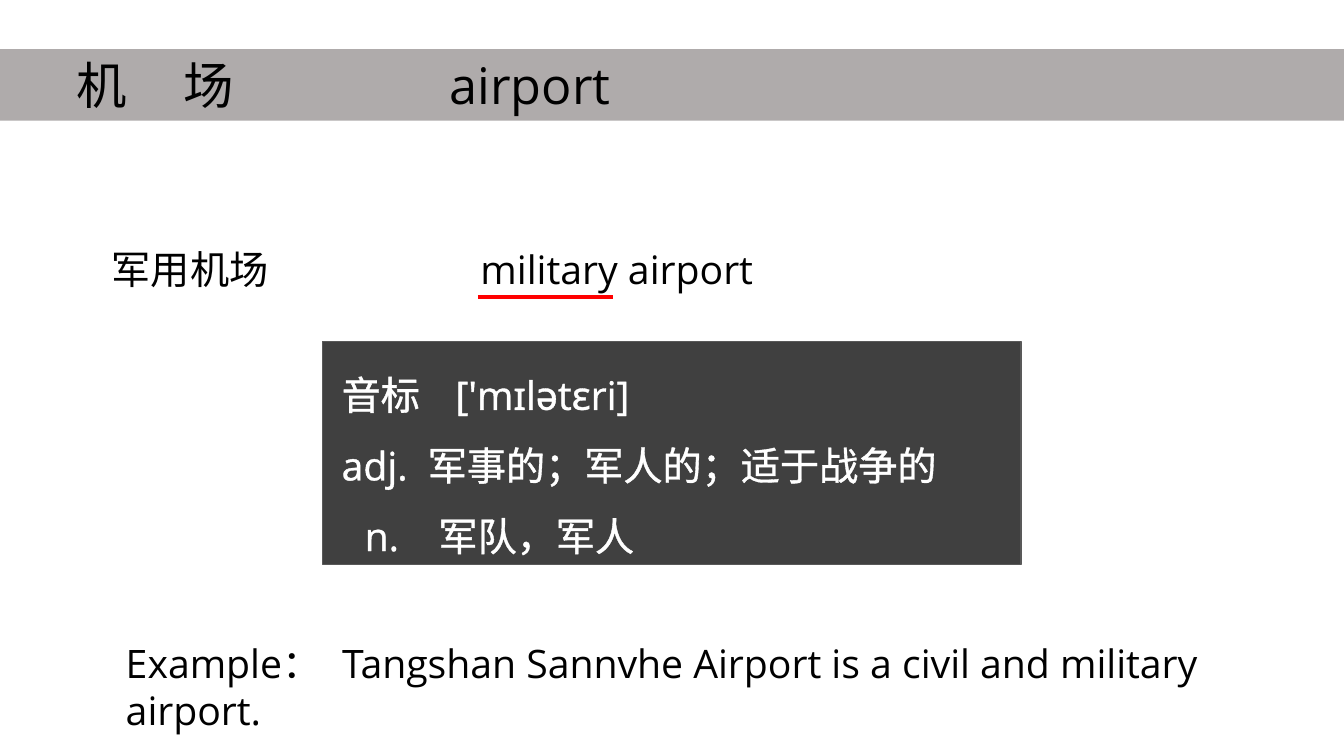
from lxml.etree import SubElement
from pptx import Presentation
from pptx.dml.color import RGBColor
from pptx.enum.shapes import MSO_CONNECTOR, MSO_SHAPE
from pptx.enum.text import MSO_ANCHOR, PP_ALIGN
from pptx.oxml import parse_xml
from pptx.oxml.ns import nsdecls, qn
from pptx.util import Cm, Pt

# Content: each line is (tab stops in cm, runs)
TITLE = [((2.69, 9.4), ["机\t场\t", "airport"])]
TERM = [((), ["军用机场"])]
ENGLISH = [((), ["military airport"])]
ENTRY = [
    ((2.87,), ["音标\t", "['mɪlətɛri]"]),
    ((2.17,), ["adj.\t", "军事的；军人的；适于战争的"]),
    ((0.58, 2.44), ["\tn.\t军队，军人"]),
]
EXAMPLE = [((5.45,), [
    "Example：\tTangshan Sannvhe Airport is a civil and military airport."])]

COLORS = {"band": "AFABAB", "card": "404040", "edge": "595959",
          "dark": "000000", "light": "FFFFFF", "mark": "FF0000"}
LATIN, ASIAN = "Open Sans", "Noto Sans CJK TC"


def rgb(name):
    return RGBColor.from_string(COLORS[name])


def write(shape, lines, size=28, color="dark", left=0.25, space=None,
          anchor=MSO_ANCHOR.TOP, lang=None, edge=False):
    frame = shape.text_frame
    frame.word_wrap = True
    frame.vertical_anchor = anchor
    frame.margin_left = Cm(left)
    for i, (stops, runs) in enumerate(lines):
        para = frame.paragraphs[0] if i == 0 else frame.add_paragraph()
        para.alignment = PP_ALIGN.LEFT
        if space:
            para.line_spacing = space
        if stops:
            tabs = SubElement(para._p.get_or_add_pPr(), qn("a:tabLst"))
            for stop in stops:
                SubElement(tabs, qn("a:tab"), pos=str(Cm(stop)), algn="l")
        for text in runs:
            run = para.add_run()
            run.text = text
            font = run.font
            font.size, font.name = Pt(size), LATIN
            font.color.rgb = rgb(color)
            props = run._r.get_or_add_rPr()
            props.find(qn("a:latin")).addnext(parse_xml(
                f'<a:ea {nsdecls("a")} typeface="{ASIAN}"/>'))
            if lang:
                props.set("lang", lang)
            if edge:
                props.insert(0, parse_xml(
                    f'<a:ln {nsdecls("a")} w="{Pt(0.75)}"><a:solidFill>'
                    f'<a:srgbClr val="{COLORS[color]}"/></a:solidFill></a:ln>'))


deck = Presentation()
deck.slide_width, deck.slide_height = Cm(33.87), Cm(19.05)
slide = deck.slides.add_slide(deck.slide_layouts[6])
shapes = slide.shapes


def panel(fill, *place):
    box = shapes.add_shape(MSO_SHAPE.RECTANGLE, *map(Cm, place))
    box.shadow.inherit = False
    box.fill.solid()
    box.fill.fore_color.rgb = rgb(fill)
    box.line.fill.background()
    return box


# Title band
band = panel("band", 0, 1.24, 33.87, 1.8)
write(band, TITLE, size=36, left=1.93, lang="zh-CN")

# Term and its translation
for lines, left, width in [(TERM, 2.57, 4.8), (ENGLISH, 11.86, 8.31)]:
    write(shapes.add_textbox(Cm(left), Cm(6.05), Cm(width), Cm(1.45)),
          lines, lang="zh-CN")

# Dictionary card
card = panel("card", 8.13, 8.61, 17.6, 5.61)
card.line.color.rgb = rgb("edge")
card.line.width = Pt(1)
write(card, ENTRY, color="light", left=0.48, space=1.5,
      anchor=MSO_ANCHOR.MIDDLE, lang="zh-CN", edge=True)

# Example sentence
write(shapes.add_textbox(Cm(2.92), Cm(15.98), Cm(29.92), Cm(1.45)), EXAMPLE)

# Underline of the new word
rule = shapes.add_connector(MSO_CONNECTOR.STRAIGHT,
                            Cm(12.04), Cm(7.49), Cm(15.44), Cm(7.49))
rule.line.color.rgb = rgb("mark")
rule.line.width = Pt(2.5)
SubElement(rule._element.spPr, qn("a:effectLst"))

deck.save("out.pptx")
